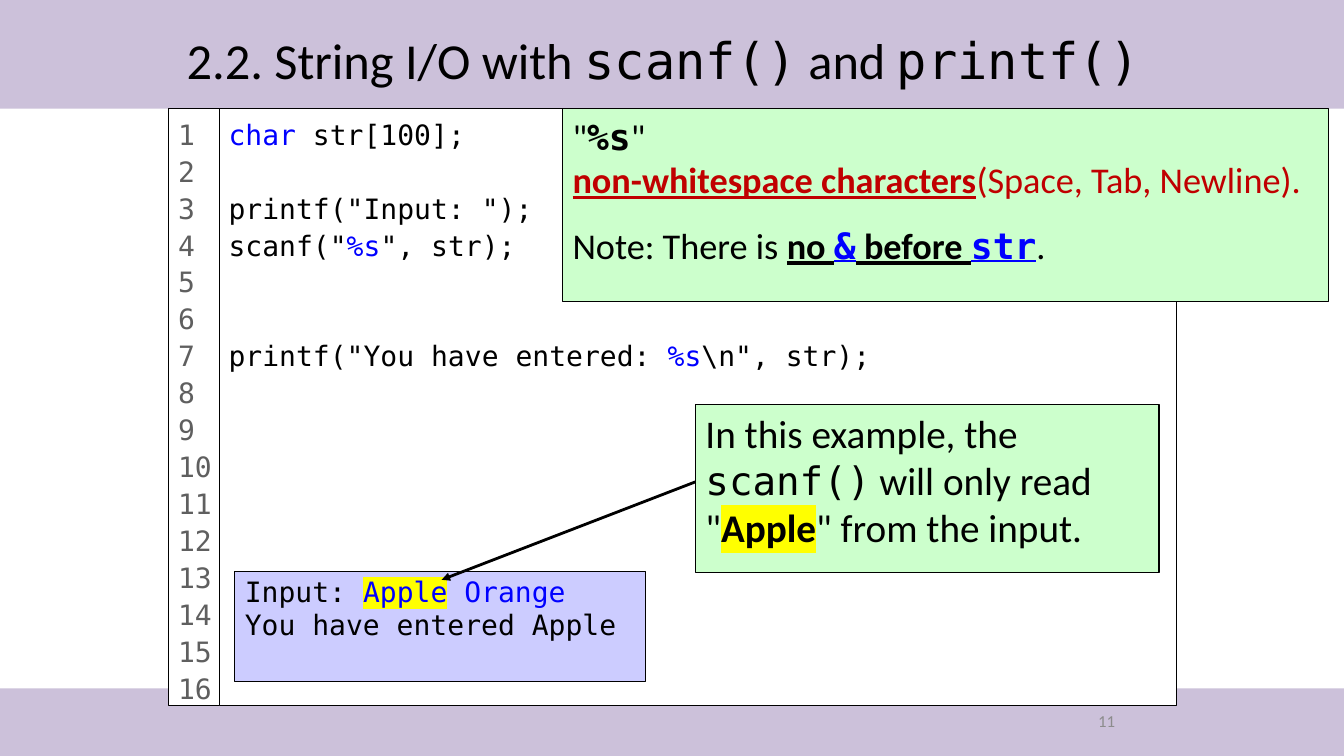
from dataclasses import dataclass

from lxml.etree import SubElement
from pptx import Presentation
from pptx.dml.color import RGBColor
from pptx.enum.shapes import MSO_CONNECTOR, MSO_SHAPE
from pptx.enum.text import MSO_ANCHOR, PP_ALIGN
from pptx.oxml.ns import qn
from pptx.shapes.autoshape import Shape
from pptx.slide import Slide
from pptx.text.text import TextFrame
from pptx.util import Cm, Pt

BLACK = RGBColor(0x00, 0x00, 0x00)
WHITE = RGBColor(0xFF, 0xFF, 0xFF)
BLUE = RGBColor(0x00, 0x00, 0xFF)
RED = RGBColor(0xC0, 0x00, 0x00)
DARK_GREY = RGBColor(0x5F, 0x5F, 0x5F)
LIGHT_GREY = RGBColor(0x8C, 0x8C, 0x8C)
LILAC = RGBColor(0xCC, 0xC1, 0xDA)
PERIWINKLE = RGBColor(0xCC, 0xCC, 0xFF)
PALE_GREEN = RGBColor(0xCC, 0xFF, 0xCC)
BODY_FONT = "Calibri"
CODE_FONT = "DejaVu Sans Mono"
CODE_LINE_HEIGHT = 26.4


@dataclass(frozen=True)
class Span:
    text: str
    font: str = BODY_FONT
    color: RGBColor = BLACK
    bold: bool = False
    underline: bool = False
    highlighted: bool = False


@dataclass(frozen=True)
class Line:
    spans: list[Span]
    space_before: float = 0


@dataclass(frozen=True)
class Box:
    """A filled rectangle, measured in centimetres, and its text."""
    left: float
    top: float
    width: float
    height: float
    fill: RGBColor
    lines: list[Line]
    size: float = 20
    line_spacing: float = 1.0
    inset_right: float = 0.25
    inset_vertical: float = 0.13
    outlined: bool = True


def code(text: str, color: RGBColor = BLACK, **style: bool) -> Span:
    return Span(text, CODE_FONT, color, **style)


BANDS = [
    Box(0, 0, 33.87, 2.74, LILAC, [], outlined=False),
    Box(0, 17.35, 33.87, 1.7, LILAC, [], outlined=False),
]
TITLE = [Line([Span("2.2. String I/O with "), code("scanf()"),
               Span(" and "), code("printf()")])]
PROGRAM = Box(5.51, 2.74, 24.13, 15.04, WHITE, [
    Line([code("char ", BLUE), code("str[100];")]),
    Line([code('printf("Input: ");')], CODE_LINE_HEIGHT),
    Line([code('scanf("'), code("%s", BLUE), code('", str);')]),
    Line([code('printf("You have entered: '), code("%s", BLUE),
          code('\\n", str);')], 2 * CODE_LINE_HEIGHT),
], line_spacing=1.1)
LINE_NUMBERS = Box(
    4.24, 2.74, 1.3, 15.04, WHITE,
    [Line([code(str(number), DARK_GREY)]) for number in range(1, 17)],
    line_spacing=1.1, inset_right=0)
OUTPUT = Box(5.92, 14.4, 10.36, 2.77, PERIWINKLE, [
    Line([code("Input: "), code("Apple", BLUE, highlighted=True),
          code(" Orange", BLUE)]),
    Line([code("You have entered Apple")], 4),
], line_spacing=0.8, inset_vertical=0.25)
EXAMPLE = Box(17.53, 10.19, 11.68, 4.24, PALE_GREEN, [
    Line([Span("In this example, the "), code("scanf()"),
          Span(' will only read "'),
          Span("Apple", bold=True, highlighted=True),
          Span('" from the input.')]),
], size=28)
FORMAT_NOTE = Box(14.18, 2.74, 19.3, 4.85, PALE_GREEN, [
    Line([Span('"'), code("%s", bold=True), Span('"')]),
    Line([Span("non-whitespace characters", color=RED, bold=True,
               underline=True),
          Span("(Space, Tab, Newline).", color=RED)]),
    Line([Span("Note: There is "), Span("no ", bold=True, underline=True),
          code("&", BLUE, bold=True, underline=True),
          Span(" before ", bold=True, underline=True),
          code("str", BLUE, bold=True, underline=True), Span(".")], 15.7),
], size=25.9)


def write_lines(frame: TextFrame, lines: list[Line], size: float,
                line_spacing: float = 1.0,
                alignment: PP_ALIGN = PP_ALIGN.LEFT) -> None:
    for index, line in enumerate(lines):
        paragraph = frame.paragraphs[0] if index == 0 else frame.add_paragraph()
        paragraph.alignment = alignment
        paragraph.line_spacing = line_spacing
        paragraph.space_before = Pt(line.space_before)
        for span in line.spans:
            run = paragraph.add_run()
            run.text = span.text
            run.font.size = Pt(size)
            run.font.name = span.font
            run.font.bold = span.bold
            run.font.underline = span.underline
            run.font.color.rgb = span.color
            if span.highlighted:
                properties = run.font._element
                highlight = SubElement(properties, qn("a:highlight"))
                SubElement(highlight, qn("a:srgbClr"), val="FFFF00")
                properties.find(qn("a:solidFill")).addnext(highlight)


def draw_box(slide: Slide, box: Box) -> Shape:
    shape = slide.shapes.add_shape(
        MSO_SHAPE.RECTANGLE, Cm(box.left), Cm(box.top),
        Cm(box.width), Cm(box.height))
    shape.shadow.inherit = False
    shape.fill.solid()
    shape.fill.fore_color.rgb = box.fill
    if box.outlined:
        shape.line.color.rgb = BLACK
        shape.line.width = Pt(0.75)
    else:
        shape.line.fill.background()
    frame = shape.text_frame
    frame.word_wrap = True
    frame.vertical_anchor = MSO_ANCHOR.TOP
    frame.margin_right = Cm(box.inset_right)
    frame.margin_top = frame.margin_bottom = Cm(box.inset_vertical)
    write_lines(frame, box.lines, box.size, box.line_spacing)
    return shape


def place_title(slide: Slide) -> None:
    title = slide.shapes.title
    title.left, title.top = Cm(4.45), Cm(0.43)
    title.width, title.height = Cm(24.77), Cm(2.11)
    title.text_frame.vertical_anchor = MSO_ANCHOR.MIDDLE
    write_lines(title.text_frame, TITLE, 36)
    slide.shapes._spTree.append(title._element)  # above the bands


def draw_arrow(slide: Slide) -> None:
    arrow = slide.shapes.add_connector(
        MSO_CONNECTOR.STRAIGHT, Cm(17.53), Cm(12.14), Cm(11.13), Cm(14.61))
    arrow.line.color.rgb = BLACK
    arrow.line.width = Pt(2)
    SubElement(arrow.line._get_or_add_ln(), qn("a:tailEnd"), type="triangle")
    SubElement(arrow._element.spPr, qn("a:effectLst"))


def write_slide_number(slide: Slide) -> None:
    text_box = slide.shapes.add_textbox(Cm(22.43), Cm(17.65), Cm(5.92), Cm(1.02))
    frame = text_box.text_frame
    frame.word_wrap = True
    frame.vertical_anchor = MSO_ANCHOR.MIDDLE
    write_lines(frame, [Line([Span("11", color=LIGHT_GREY)])], 12,
                alignment=PP_ALIGN.RIGHT)


def main() -> None:
    presentation = Presentation()
    presentation.slide_width = Cm(33.87)
    presentation.slide_height = Cm(19.05)
    slide = presentation.slides.add_slide(
        presentation.slide_layouts.get_by_name("Title Only"))
    for band in BANDS:
        draw_box(slide, band)
    place_title(slide)
    for box in (PROGRAM, LINE_NUMBERS, OUTPUT):
        draw_box(slide, box)
    draw_arrow(slide)
    draw_box(slide, EXAMPLE)
    write_slide_number(slide)
    draw_box(slide, FORMAT_NOTE)
    presentation.save("out.pptx")


if __name__ == "__main__":
    main()
